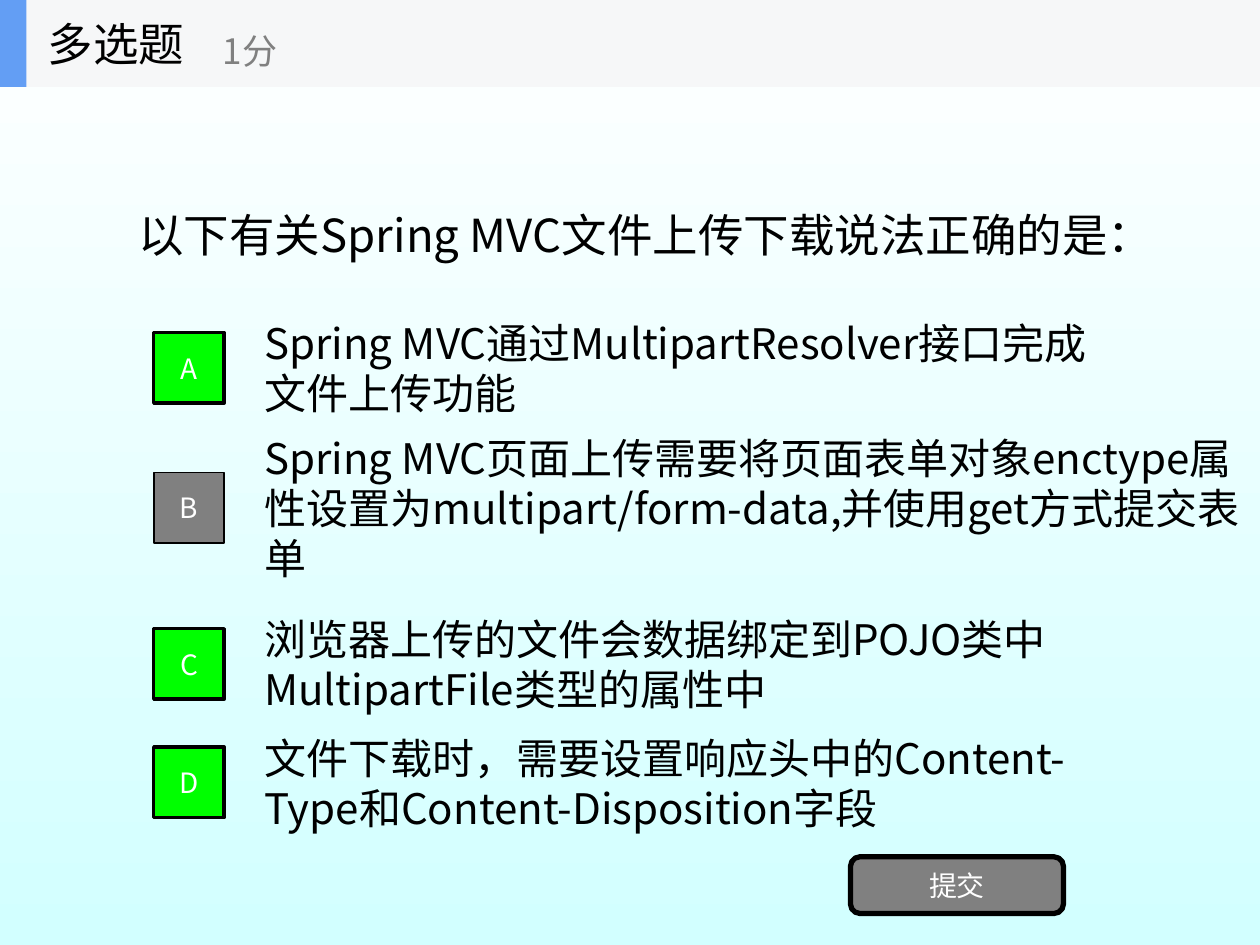
from dataclasses import dataclass

from lxml import etree
from pptx import Presentation
from pptx.dml.color import RGBColor
from pptx.enum.shapes import MSO_SHAPE
from pptx.enum.text import MSO_ANCHOR, PP_ALIGN
from pptx.oxml.ns import qn
from pptx.util import Inches, Pt

RECT = MSO_SHAPE.RECTANGLE
ROUNDED = MSO_SHAPE.ROUNDED_RECTANGLE
MIDDLE = MSO_ANCHOR.MIDDLE
LEFT, CENTER = PP_ALIGN.LEFT, PP_ALIGN.CENTER


@dataclass(frozen=True)
class Theme:
    """Font, colours and type sizes of the quiz slide."""
    font: str = "Noto Sans CJK SC"
    black: str = "000000"
    white: str = "FFFFFF"
    gray: str = "808080"
    correct: str = "00FF00"
    bar: str = "F6F7F8"
    accent: str = "639EF4"
    bg_bottom: str = "D2FFFF"
    heading: int = 26
    option: int = 24
    points: int = 20
    label: int = 16


THEME = Theme()
OPTION_HEIGHT = 0.7
MARK_SIZE = 0.56
OPTIONS = [
    ("A", 2.57, 7, True, "Spring MVC通过MultipartResolver接口完成文件上传功能"),
    ("B", 3.68, 8, False, "Spring MVC页面上传需要将页面表单对象enctype属性设置为"
                          "multipart/form-data,并使用get方式提交表单"),
    ("C", 4.92, 7, True, "浏览器上传的文件会数据绑定到POJO类中MultipartFile类型的属性中"),
    ("D", 5.86, 7, True, "文件下载时，需要设置响应头中的Content-Type和Content-Disposition字段"),
]


def rgb(color):
    """Return the colour object for a hex string."""
    return RGBColor.from_string(color)


def set_text(sp, text, size, color, align=LEFT):
    """Write one formatted paragraph into a shape."""
    tf = sp.text_frame
    tf.text = text
    tf.word_wrap = True
    tf.vertical_anchor = MIDDLE
    p = tf.paragraphs[0]
    p.alignment = align
    font = p.runs[0].font
    font.size = Pt(size)
    font.color.rgb = rgb(color)
    font.name = THEME.font
    ea = etree.Element(qn("a:ea"), typeface=THEME.font)
    p.runs[0]._r.rPr.find(qn("a:latin")).addnext(ea)


def add_text(s, x, y, w, h, text, size, color=THEME.black):
    """Add a wrapped, vertically centred text box."""
    sp = s.shapes.add_textbox(Inches(x), Inches(y), Inches(w), Inches(h))
    set_text(sp, text, size, color)


def add_block(s, kind, x, y, w, h, fill, line_width=0):
    """Add a filled shape with an optional black outline."""
    sp = s.shapes.add_shape(kind, Inches(x), Inches(y), Inches(w), Inches(h))
    sp.shadow.inherit = False
    sp.fill.solid()
    sp.fill.fore_color.rgb = rgb(fill)
    if line_width:
        sp.line.color.rgb = rgb(THEME.black)
        sp.line.width = Pt(line_width)
    else:
        sp.line.fill.background()
    return sp


def add_background(s):
    """Fill the slide with a vertical gradient."""
    fill = s.background.fill
    fill.gradient()
    fill.gradient_angle = 270
    for stop, color in zip(fill.gradient_stops, (THEME.white, THEME.bg_bottom)):
        stop.color.rgb = rgb(color)


def add_option(s, letter, y, width, correct, text):
    """Add an answer and its lettered mark, centred on the same line."""
    add_text(s, 2, y, width, OPTION_HEIGHT, text, THEME.option)
    mark_y = y + (OPTION_HEIGHT - MARK_SIZE) / 2
    fill, line_width = (THEME.correct, 2) if correct else (THEME.gray, 1)
    mark = add_block(s, RECT, 1.22, mark_y, MARK_SIZE, MARK_SIZE, fill, line_width)
    set_text(mark, letter, THEME.label, THEME.white, CENTER)


def add_submit(s):
    """Add the submit button."""
    button = add_block(s, ROUNDED, 6.75, 6.8, 1.69, 0.45, THEME.gray, 3)
    set_text(button, "提交", THEME.label, THEME.white, CENTER)


def add_header(s):
    """Add the title bar with question type and points."""
    add_block(s, RECT, 0, 0, 10, 0.69, THEME.bar)
    add_block(s, RECT, 0, 0, 0.21, 0.69, THEME.accent)
    add_text(s, 0.28, 0, 2.08, 0.69, "多选题", THEME.heading)
    add_text(s, 1.67, 0.12, 2.5, 0.56, "1分", THEME.points, THEME.gray)


def main():
    """Build the quiz slide and save it."""
    prs = Presentation()
    prs.slide_width, prs.slide_height = Inches(10), Inches(7.5)
    s = prs.slides.add_slide(prs.slide_layouts[6])
    add_background(s)
    add_text(s, 1, 0.69, 8, 2.34, "以下有关Spring MVC文件上传下载说法正确的是：", THEME.heading)
    for option in OPTIONS:
        add_option(s, *option)
    add_submit(s)
    add_header(s)
    prs.save("out.pptx")


if __name__ == "__main__":
    main()
